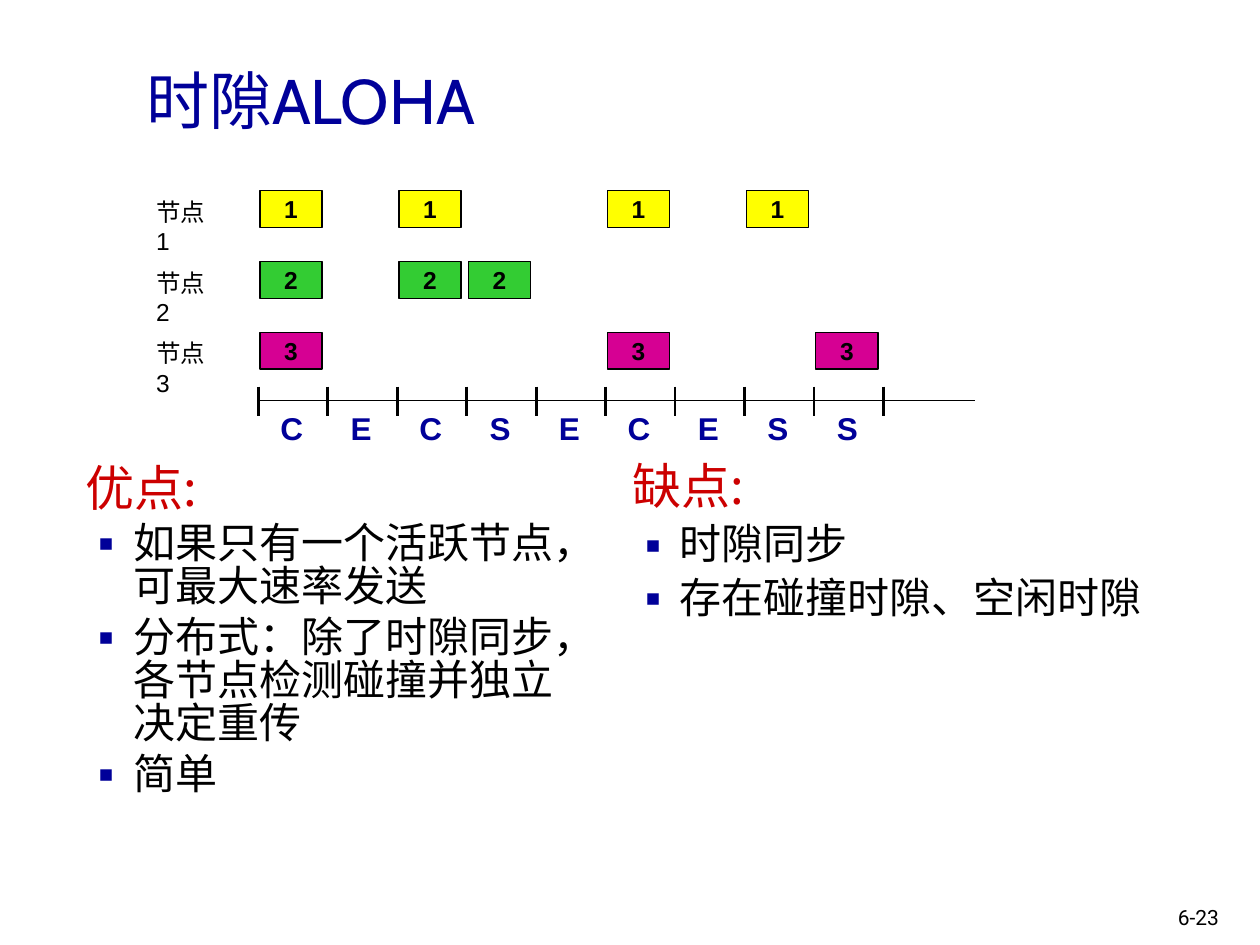
from dataclasses import dataclass

from lxml import etree
from pptx import Presentation
from pptx.dml.color import RGBColor
from pptx.enum import shapes, text
from pptx.oxml import ns
from pptx.util import Pt

BLACK = RGBColor(0x00, 0x00, 0x00)
NAVY = RGBColor(0x00, 0x00, 0x99)
RED = RGBColor(0xCC, 0x00, 0x00)
YELLOW = RGBColor(0xFF, 0xFF, 0x00)
GREEN = RGBColor(0x33, 0xCC, 0x33)
MAGENTA = RGBColor(0xD6, 0x00, 0x93)
CJK = "Noto Sans CJK SC"

# Time grid, in points
AXIS_LEFT, AXIS_RIGHT, AXIS_Y = 147.6, 557.3, 229
SLOT_W, TICK_TOP, TICK_BOTTOM = 39.7, 221, 238
ROW_TOP, ROW_PITCH = 109, 40.4
BLOCK_W, BLOCK_H = 35.5, 21
OUTCOMES = "CECSECESS"


@dataclass
class Node:
    number: int
    color: RGBColor
    slots: tuple[int, ...]


@dataclass
class Column:
    box: tuple[float, float, float, float]
    spacing: float
    heading: str
    items: tuple[str, ...]


NODES = [
    Node(1, YELLOW, (0, 2, 5, 7)),
    Node(2, GREEN, (0, 2, 3)),
    Node(3, MAGENTA, (0, 5, 8)),
]
COLUMNS = [
    Column((41.8, 262.8, 300.2, 252), 0.85, "优点:", (
        "如果只有一个活跃节点，可最大速率发送",
        "分布式：除了时隙同步，各节点检测碰撞并独立决定重传",
        "简单")),
    Column((354.2, 260.6, 311.8, 252), 0.9, "缺点:", (
        "时隙同步", "存在碰撞时隙、空闲时隙")),
]


def apply(obj, values: dict) -> None:
    for name, value in values.items():
        setattr(obj, name, value)


def place(sp, x: float, y: float, w: float, h: float) -> None:
    apply(sp, dict(left=Pt(x), top=Pt(y), width=Pt(w), height=Pt(h)))


def sub(parent, tag: str, **attrs: str):
    return etree.SubElement(parent, ns.qn(tag), **attrs)


def add_run(p, words: str, size: float, color: RGBColor, font: str = "Arial",
            bold: bool = False) -> None:
    r = p.add_run()
    r.text = words
    apply(r.font, dict(size=Pt(size), name=font, bold=bold))
    r.font.color.rgb = color
    sub(r.font._element, "a:ea", typeface=CJK)


def add_label(s, box: tuple, words: str, size: float, color: RGBColor = BLACK,
              font: str = "Arial", bold: bool = False, wrap: bool = True,
              align=text.PP_ALIGN.LEFT) -> None:
    tf = s.shapes.add_textbox(*map(Pt, box)).text_frame
    tf.word_wrap = wrap
    p = tf.paragraphs[0]
    p.alignment = align
    add_run(p, words, size, color, font, bold)


def add_line(s, x1: float, y1: float, x2: float, y2: float, width: float) -> None:
    line = s.shapes.add_connector(
        shapes.MSO_CONNECTOR.STRAIGHT, Pt(x1), Pt(y1), Pt(x2), Pt(y2))
    line.line.color.rgb = BLACK
    line.line.width = Pt(width)
    sub(line._element.spPr, "a:effectLst")


def add_block(s, x: float, y: float, node: Node) -> None:
    sp = s.shapes.add_shape(
        shapes.MSO_SHAPE.RECTANGLE, Pt(x), Pt(y), Pt(BLOCK_W), Pt(BLOCK_H))
    sp.shadow.inherit = False
    sp.fill.solid()
    sp.fill.fore_color.rgb = node.color
    sp.line.color.rgb = BLACK
    sp.line.width = Pt(0.75)
    tf = sp.text_frame
    apply(tf, dict(margin_left=0, margin_right=0, margin_top=0, margin_bottom=0,
                   vertical_anchor=text.MSO_ANCHOR.MIDDLE))
    tf.paragraphs[0].alignment = text.PP_ALIGN.CENTER
    add_run(tf.paragraphs[0], str(node.number), 14, BLACK, bold=True)


def fill_column(sp, col: Column) -> None:
    place(sp, *col.box)
    tf = sp.text_frame
    apply(tf, dict(word_wrap=True, auto_size=text.MSO_AUTO_SIZE.NONE))
    for i, words in enumerate((col.heading, *col.items)):
        p = tf.add_paragraph() if i else tf.paragraphs[0]
        size, color = (24, BLACK) if i else (28, RED)
        apply(p, dict(line_spacing=col.spacing, space_before=Pt(size * 0.2)))
        pPr = p._p.get_or_add_pPr()
        pPr.set("marL", str(Pt(27)))
        pPr.set("indent", str(Pt(-27)))
        if i:
            sub(sub(pPr, "a:buClr"), "a:srgbClr", val=str(NAVY))
            sub(pPr, "a:buFont", typeface=CJK)
            sub(pPr, "a:buChar", char="▪")
        else:
            sub(pPr, "a:buNone")
        add_run(p, words, size, color, CJK)


def main() -> None:
    prs = Presentation()
    apply(prs, dict(slide_width=Pt(720), slide_height=Pt(540)))
    s = prs.slides.add_slide(prs.slide_layouts.get_by_name("Two Content"))

    # Title
    title = s.shapes.title
    place(title, 76.3, 11.5, 390.2, 90)
    apply(title.text_frame, dict(vertical_anchor=text.MSO_ANCHOR.MIDDLE,
                                 auto_size=text.MSO_AUTO_SIZE.NONE))
    p = title.text_frame.paragraphs[0]
    p.alignment = text.PP_ALIGN.LEFT
    add_run(p, "时隙", 36, NAVY, CJK)
    add_run(p, "ALOHA", 36, NAVY, "Cabin")

    # Advantages and drawbacks
    for i, col in enumerate(COLUMNS, start=1):
        fill_column(s.placeholders[i], col)

    # Frames sent by each node
    for row, node in enumerate(NODES):
        y = ROW_TOP + row * ROW_PITCH
        add_label(s, (82.1, y, 48.5, 24.5), f"节点{node.number}", 14)
        for slot in node.slots:
            add_block(s, AXIS_LEFT + slot * SLOT_W + 1, y, node)

    # Time axis with slot boundaries and outcomes
    add_line(s, AXIS_LEFT, AXIS_Y, AXIS_RIGHT, AXIS_Y, 0.75)
    for i in range(len(OUTCOMES) + 1):
        x = AXIS_LEFT + i * SLOT_W
        add_line(s, x, TICK_TOP, x, TICK_BOTTOM, 1.5)
    for i, outcome in enumerate(OUTCOMES):
        add_label(s, (AXIS_LEFT + i * SLOT_W + 5.5, 230, 27, 29), outcome, 18,
                  NAVY, bold=True, wrap=False, align=text.PP_ALIGN.CENTER)

    # Page number
    add_label(s, (666, 513.4, 43.2, 21.6), "6-23", 12, font="Roboto")

    prs.save("out.pptx")


if __name__ == "__main__":
    main()
